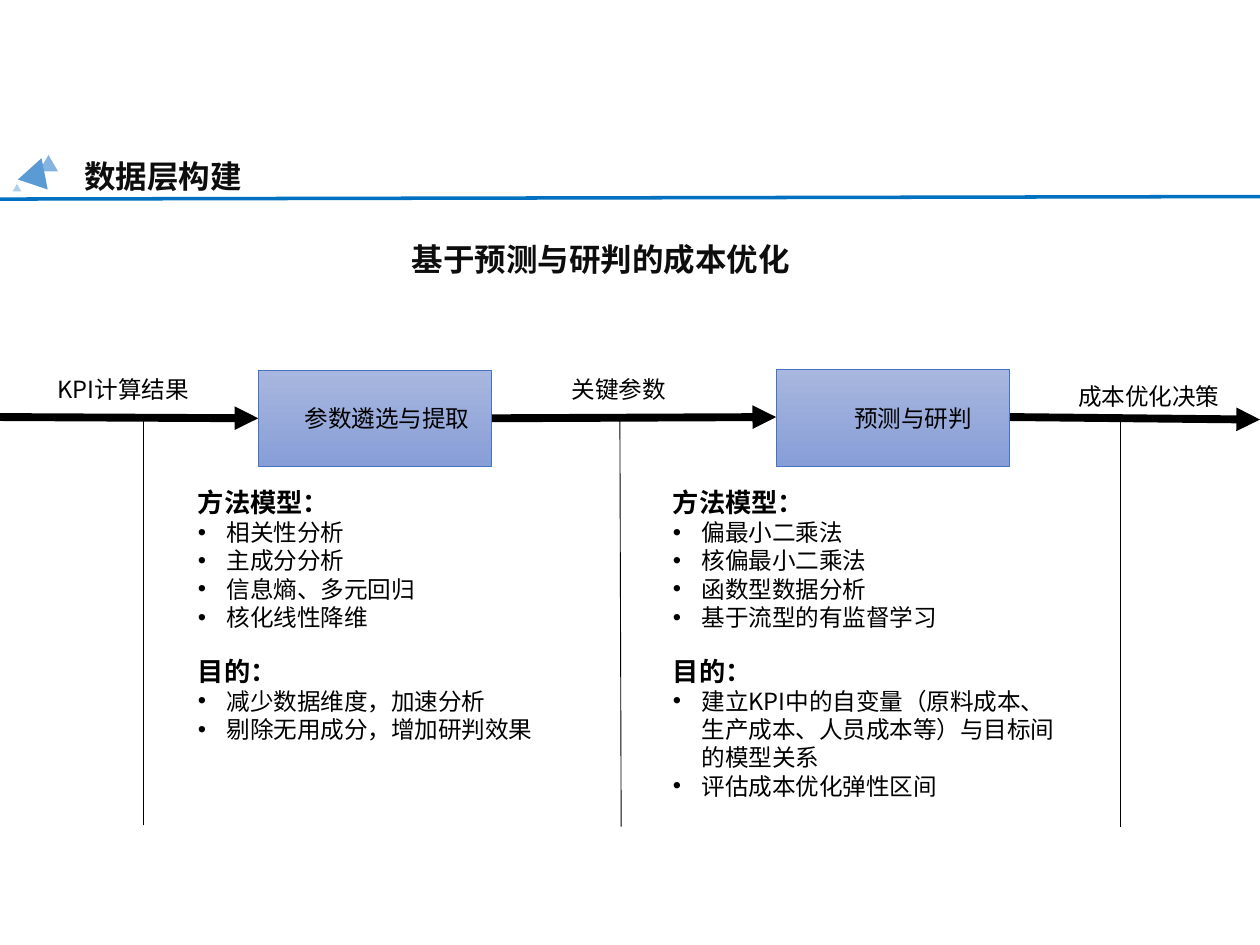
from dataclasses import dataclass

from lxml.etree import SubElement
from pptx import Presentation
from pptx.dml.color import RGBColor
from pptx.enum.shapes import MSO_CONNECTOR as Connector, MSO_SHAPE as Shape
from pptx.enum.text import MSO_ANCHOR as Anchor, PP_ALIGN as Align
from pptx.oxml.ns import qn
from pptx.util import Inches, Pt


@dataclass(frozen=True)
class Theme:
    font: str = "Noto Sans CJK SC"
    title_size: float = 18
    heading_size: float = 15
    body_size: float = 13.5
    title: str = "0D0D0D"
    ink: str = "000000"
    rule: str = "0070C0"
    logo: str = "5B9BD5"
    stage_top: str = "A8B7DF"
    stage_bottom: str = "889ED7"
    stage_edge: str = "4472C4"


@dataclass(frozen=True)
class Label:
    text: str
    left: float
    top: float
    width: float


@dataclass(frozen=True)
class Line:
    start: tuple[float, float]
    end: tuple[float, float]


@dataclass(frozen=True)
class Stage:
    text: str
    left: float
    top: float
    height: float
    indent: float


@dataclass(frozen=True)
class Notes:
    heading: str
    items: list[str]
    left: float
    top: float
    width: float
    height: float


@dataclass(frozen=True)
class Triangle:
    left: float
    top: float
    width: float
    height: float
    rotation: float
    opacity: int


THEME = Theme()
STAGE_WIDTH = 1.85
BULLET_INDENT = Inches(0.23)
LEFT_COLUMN, RIGHT_COLUMN = 1.5, 5.27
METHODS_TOP, GOALS_TOP = 3.82, 5.16

TRIANGLES = [
    Triangle(0.31, 1.23, 0.15, 0.13, 0, 75),
    Triangle(0.17, 1.25, 0.25, 0.22, 18.5, 100),
    Triangle(0.1, 1.46, 0.07, 0.06, 0, 47),
]
TITLES = [
    Label("数据层构建", 0.57, 1.2, 3.9),
    Label("基于预测与研判的成本优化", 3.17, 1.86, 3.52),
]
FLOW_LABELS = [
    Label("KPI计算结果", 0.36, 2.93, 1.34),
    Label("关键参数", 4.44, 2.93, 0.97),
    Label("成本优化决策", 8.46, 2.98, 1.38),
]
FLOW_ARROWS = [
    Line((0, 3.31), (2.05, 3.32)),
    Line((3.9, 3.32), (6.16, 3.31)),
    Line((8.01, 3.31), (10, 3.33)),
]
DIVIDERS = [
    Line((1.14, 6.55), (1.14, 3.31)),
    Line((4.93, 6.56), (4.92, 3.32)),
    Line((8.89, 6.56), (8.89, 3.32)),
]
STAGES = [
    Stage("参数遴选与提取", 2.05, 2.94, 0.76, 0.29),
    Stage("预测与研判", 6.16, 2.93, 0.77, 0.42),
]
NOTES = [
    Notes("方法模型：", ["相关性分析", "主成分分析", "信息熵、多元回归", "核化线性降维"],
          LEFT_COLUMN, METHODS_TOP, 2.05, 1.24),
    Notes("目的：", ["减少数据维度，加速分析", "剔除无用成分，增加研判效果"],
          LEFT_COLUMN, GOALS_TOP, 3.27, 0.78),
    Notes("方法模型：", ["偏最小二乘法", "核偏最小二乘法", "函数型数据分析", "基于流型的有监督学习"],
          RIGHT_COLUMN, METHODS_TOP, 3.1, 1.24),
    Notes("目的：", ["建立KPI中的自变量（原料成本、生产成本、人员成本等）与目标间的模型关系",
                  "评估成本优化弹性区间"],
          RIGHT_COLUMN, GOALS_TOP, 3.27, 1.24),
]


def rgb(color: str) -> RGBColor:
    return RGBColor.from_string(color)


def style_text(paragraph, size: float, color: str = THEME.ink, bold: bool = False) -> None:
    for run in paragraph.runs:
        run.font.size = Pt(size)
        run.font.bold = bold
        run.font.color.rgb = rgb(color)
        run.font.name = THEME.font
        SubElement(run.font._element, qn("a:ea"), typeface=THEME.font)


def add_label(slide, label: Label, height: float, size: float,
              color: str = THEME.ink, bold: bool = False) -> None:
    box = slide.shapes.add_textbox(Inches(label.left), Inches(label.top),
                                   Inches(label.width), Inches(height))
    box.text_frame.word_wrap = True
    box.text_frame.text = label.text
    style_text(box.text_frame.paragraphs[0], size, color, bold)


def add_line(slide, line: Line, color: str, weight: float, arrow: bool = False) -> None:
    points = [Inches(value) for value in line.start + line.end]
    connector = slide.shapes.add_connector(Connector.STRAIGHT, *points)
    connector.line.color.rgb = rgb(color)
    connector.line.width = Pt(weight)
    properties = connector._element.spPr
    if arrow:
        SubElement(properties.find(qn("a:ln")), qn("a:tailEnd"), type="triangle")
    SubElement(properties, qn("a:effectLst"))


def add_triangle(slide, part: Triangle) -> None:
    triangle = slide.shapes.add_shape(Shape.ISOSCELES_TRIANGLE, Inches(part.left), Inches(part.top),
                                      Inches(part.width), Inches(part.height))
    triangle.shadow.inherit = False
    triangle.rotation = part.rotation
    triangle.fill.solid()
    triangle.fill.fore_color.rgb = rgb(THEME.logo)
    triangle.line.fill.background()
    color = triangle._element.spPr.find(qn("a:solidFill")).find(qn("a:srgbClr"))
    SubElement(color, qn("a:alpha"), val=str(part.opacity * 1000))


def add_stage(slide, stage: Stage) -> None:
    box = slide.shapes.add_shape(Shape.RECTANGLE, Inches(stage.left), Inches(stage.top),
                                 Inches(STAGE_WIDTH), Inches(stage.height))
    box.shadow.inherit = False
    box.fill.gradient()
    box.fill.gradient_angle = 270
    for stop, color in zip(box.fill.gradient_stops, (THEME.stage_top, THEME.stage_bottom)):
        stop.color.rgb = rgb(color)
    box.line.color.rgb = rgb(THEME.stage_edge)
    box.line.width = Pt(0.5)
    frame = box.text_frame
    frame.margin_left = Inches(stage.indent)
    frame.vertical_anchor = Anchor.MIDDLE
    frame.text = stage.text
    frame.paragraphs[0].alignment = Align.CENTER
    style_text(frame.paragraphs[0], THEME.body_size)


def add_notes(slide, notes: Notes) -> None:
    box = slide.shapes.add_textbox(Inches(notes.left), Inches(notes.top),
                                   Inches(notes.width), Inches(notes.height))
    frame = box.text_frame
    frame.word_wrap = True
    frame.margin_left = frame.margin_right = Inches(0.07)
    frame.margin_top = frame.margin_bottom = Inches(0.04)
    frame.text = notes.heading
    style_text(frame.paragraphs[0], THEME.heading_size, bold=True)
    for item in notes.items:
        paragraph = frame.add_paragraph()
        paragraph.text = item
        properties = paragraph._p.get_or_add_pPr()
        properties.set("marL", str(BULLET_INDENT))
        properties.set("indent", str(-BULLET_INDENT))
        SubElement(properties, qn("a:buFont"), typeface="Arial")
        SubElement(properties, qn("a:buChar"), char="•")
        style_text(paragraph, THEME.body_size)


def main() -> None:
    deck = Presentation()
    deck.slide_width, deck.slide_height = Inches(10), Inches(7.5)
    slide = deck.slides.add_slide(deck.slide_layouts[6])

    # Header
    for triangle in TRIANGLES:
        add_triangle(slide, triangle)
    add_line(slide, Line((-0.02, 1.58), (10, 1.56)), THEME.rule, 2)
    for title in TITLES:
        add_label(slide, title, 0.4, THEME.title_size, THEME.title, bold=True)

    # Process flow
    for divider in DIVIDERS:
        add_line(slide, divider, THEME.ink, 0.5)
    for arrow in FLOW_ARROWS:
        add_line(slide, arrow, THEME.ink, 4.5, arrow=True)
    for label in FLOW_LABELS:
        add_label(slide, label, 0.33, THEME.body_size)
    for stage in STAGES:
        add_stage(slide, stage)

    # Methods and goals
    for notes in NOTES:
        add_notes(slide, notes)

    deck.save("out.pptx")


if __name__ == "__main__":
    main()
